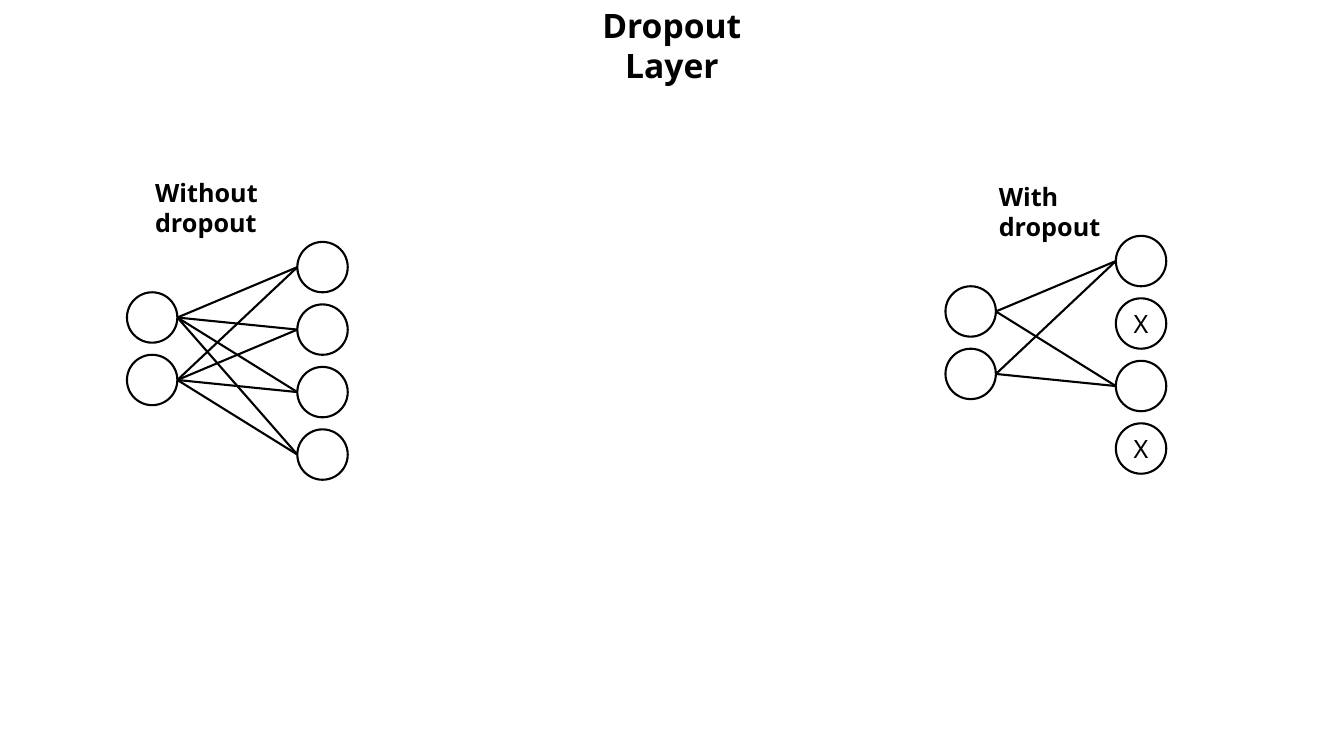
import pptx
import pptx.dml.color
import pptx.enum.shapes
import pptx.enum.text
import pptx.oxml
import pptx.util
import itertools

PP_ALIGN = pptx.enum.text.PP_ALIGN
ANCHOR = pptx.enum.text.MSO_ANCHOR
CELL = 0.1
NODE = 5
PITCH = 6.2
LAYER_GAP = 16.9
INPUT_DROP = 5


def grid(*cells):
    return [pptx.util.Inches(c * CELL) for c in cells]


def color(value):
    return pptx.dml.color.RGBColor.from_string(value)


class Diagram:
    font = "Noto Sans"
    ink = "000000"
    paper = "FFFFFF"
    line_width = 1.5

    def __init__(self, prs):
        self.s = prs.slides.add_slide(prs.slide_layouts[5])

    def add_text(self, tf, text, size, bold=False, align=PP_ALIGN.LEFT):
        p = tf.paragraphs[0]
        p.alignment = align
        p.line_spacing = 1.0
        r = p.add_run()
        r.text = text
        formats = {"name": self.font, "size": pptx.util.Pt(size), "bold": bold}
        for name, value in formats.items():
            setattr(r.font, name, value)
        r.font.color.rgb = color(self.ink)

    def caption(self, sp, text, size, align):
        tf = sp.text_frame
        formats = {
            "word_wrap": True,
            "auto_size": pptx.enum.text.MSO_AUTO_SIZE.SHAPE_TO_FIT_TEXT,
            "vertical_anchor": ANCHOR.TOP,
        }
        for name, value in formats.items():
            setattr(tf, name, value)
        self.add_text(tf, text, size, True, align)

    def title(self, text, *box):
        sp = self.s.shapes.title
        for name, value in zip(("left", "top", "width", "height"), grid(*box)):
            setattr(sp, name, value)
        self.caption(sp, text, 24, PP_ALIGN.CENTER)

    def label(self, text, *box):
        sp = self.s.shapes.add_textbox(*grid(*box))
        self.caption(sp, text, 18, PP_ALIGN.LEFT)

    def outline(self, line):
        line.color.rgb = color(self.ink)
        line.width = pptx.util.Pt(self.line_width)

    def node(self, group, left, top, mark=""):
        oval = pptx.enum.shapes.MSO_SHAPE.OVAL
        sp = group.shapes.add_shape(oval, *grid(left, top, NODE, NODE))
        sp.shadow.inherit = False
        sp.fill.solid()
        sp.fill.fore_color.rgb = color(self.paper)
        self.outline(sp.line)
        if mark:
            tf = sp.text_frame
            tf.vertical_anchor = ANCHOR.MIDDLE
            for side in ("left", "top", "right", "bottom"):
                setattr(tf, f"margin_{side}", 0)
            self.add_text(tf, mark, 18, align=PP_ALIGN.CENTER)

    def edge(self, group, *ends):
        straight = pptx.enum.shapes.MSO_CONNECTOR.STRAIGHT
        cxn = group.shapes.add_connector(straight, *grid(*ends))
        self.outline(cxn.line)
        sp_pr = cxn._element.spPr
        sp_pr.append(pptx.oxml.parse_xml(
            '<a:effectLst xmlns:a="http://schemas.openxmlformats.org/drawingml/2006/main"/>'))

    def network(self, left, top, dropped=()):
        group = self.s.shapes.add_group_shape()
        right = left + LAYER_GAP
        inputs = [top + INPUT_DROP + i * PITCH for i in range(2)]
        outputs = [top + i * PITCH for i in range(4)]
        for y in inputs:
            self.node(group, left, y)
        for i, y in enumerate(outputs):
            self.node(group, right, y, "X" if i in dropped else "")
        kept = [y for i, y in enumerate(outputs) if i not in dropped]
        for start, end in itertools.product(inputs, kept):
            self.edge(group, left + NODE, start + NODE / 2, right, end + NODE / 2)


def main():
    prs = pptx.Presentation()
    prs.slide_width, prs.slide_height = grid(133.33, 75)
    diagram = Diagram(prs)
    diagram.title("Dropout Layer", 54.8, 0, 23.7, 5)
    diagram.network(12.6, 24)
    diagram.network(93.8, 23.4, dropped=(1, 3))
    diagram.label("Without dropout", 14.4, 17.1, 20.9, 4)
    diagram.label("With dropout", 98.1, 17.5, 17.1, 4)
    prs.save("out.pptx")


if __name__ == "__main__":
    main()
